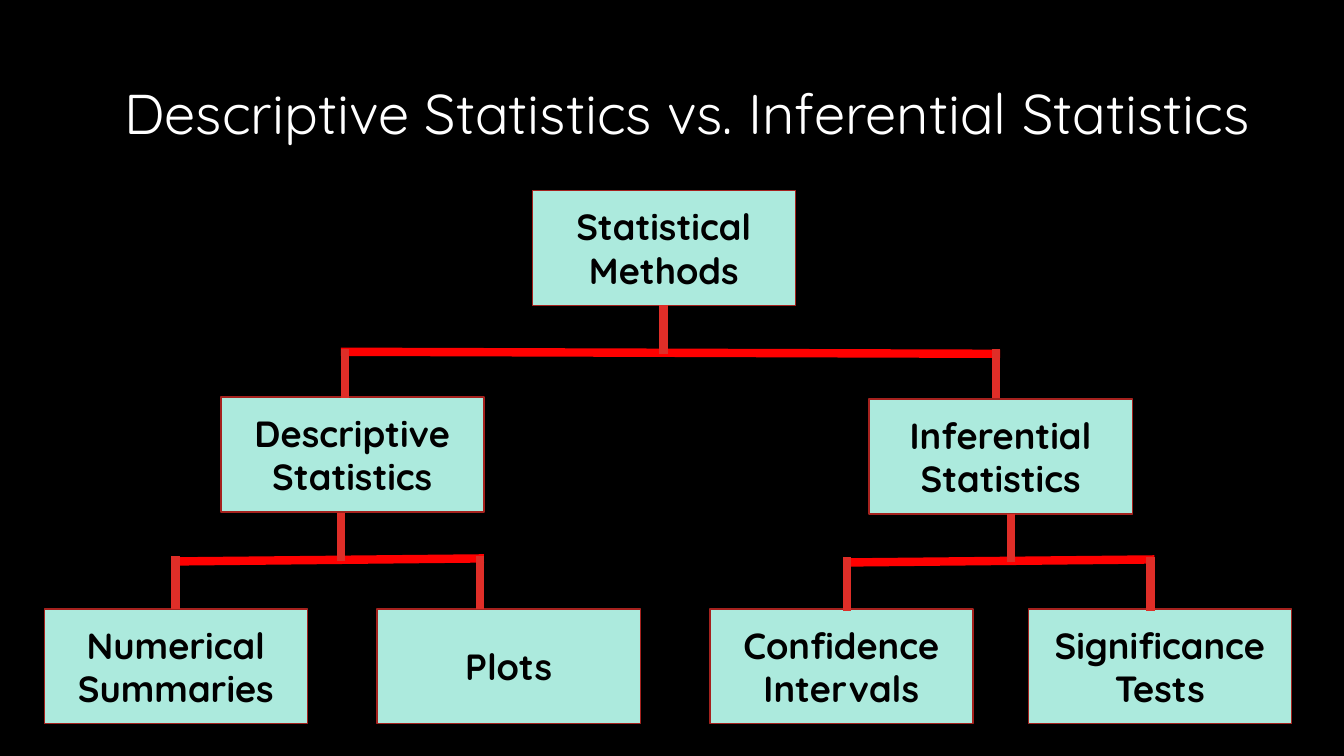
from lxml import etree
from pptx import Presentation
from pptx import util as u
from pptx.dml import color
from pptx.enum import shapes, text
from pptx.oxml import ns

COLORS = {"night": "000000", "white": "FFFFFF", "mint": "ACEADD",
          "border": "A5221E", "bar": "FF0000", "stem": "DF2E28"}
FONT = "Quicksand"
COLUMNS, ROWS = 13.33, 7.5
WIDTH, HEIGHT = u.Inches(13.33), u.Inches(7.5)
NODE_WIDTH, NODE_HEIGHT = 2.61, 1.14
STEM_DROP, CHILD_RISE, END_INSET = 0.48, 0.43, 0.04


def across(columns):
    return round(WIDTH * columns / COLUMNS)


def down(rows):
    return round(HEIGHT * rows / ROWS)


def place(box):
    left, top, width, height = box
    return across(left), down(top), across(width), down(height)


def rgb(name):
    return color.RGBColor.from_string(COLORS[name])


def write(holder, wording, size, tint, align, bold=False):
    frame = holder.text_frame
    frame.text = wording
    frame.word_wrap = True
    frame.vertical_anchor = text.MSO_ANCHOR.MIDDLE
    paragraph = frame.paragraphs[0]
    paragraph.alignment = align
    font = paragraph.runs[0].font
    font.name, font.size, font.bold = FONT, u.Pt(size), bold
    font.color.rgb = rgb(tint)
    return paragraph


def heading(slide, box, wording):
    title = slide.shapes.add_textbox(*place(box))
    paragraph = write(title, wording, 40, "white", text.PP_ALIGN.RIGHT)
    paragraph.line_spacing = 0.9


def node(slide, box, wording):
    method = slide.shapes.add_shape(shapes.MSO_SHAPE.RECTANGLE, *place(box))
    method.shadow.inherit = False
    method.fill.solid()
    method.fill.fore_color.rgb = rgb("mint")
    method.line.color.rgb = rgb("border")
    method.line.width = u.Pt(1)
    write(method, wording, 26, "night", text.PP_ALIGN.CENTER, bold=True)


def link(slide, start, end, tint):
    rod = slide.shapes.add_connector(
        shapes.MSO_CONNECTOR.STRAIGHT,
        across(start[0]), down(start[1]), across(end[0]), down(end[1]))
    rod.line.color.rgb = rgb(tint)
    rod.line.width = u.Pt(6)
    etree.SubElement(rod._element.spPr, ns.qn("a:effectLst"))


def branch(slide, box, stem_x, bar_ends, left_inset):
    left, top, width, height = box
    right, bottom = left + width, top + height
    bar_start, bar_end = bar_ends
    link(slide, (left, top + bar_start), (right, top + bar_end), "bar")
    for child_x in (left + left_inset, right - END_INSET):
        link(slide, (child_x, top + CHILD_RISE), (child_x, bottom), "stem")
    link(slide, (stem_x, top), (stem_x, top + STEM_DROP), "stem")


def methods_tree(slide):
    nodes = [
        (5.28, 1.89, "Statistical Methods"),
        (2.19, 3.94, "Descriptive Statistics"),
        (8.62, 3.96, "Inferential Statistics"),
        (0.44, 6.04, "Numerical Summaries"),
        (3.74, 6.04, "Plots"),
        (7.04, 6.04, "Confidence Intervals"),
        (10.2, 6.04, "Significance Tests"),
    ]
    for left, top, wording in nodes:
        node(slide, (left, top, NODE_WIDTH, NODE_HEIGHT), wording)

    branches = [
        ((1.74, 5.09, 3.06, 0.95), 3.38, (0.48, 0.45), 0),
        ((8.4, 5.1, 3.05, 0.96), 10.03, (0.48, 0.45), 0),
        ((3.38, 3.03, 6.54, 0.92), 6.58, (0.46, 0.48), END_INSET),
    ]
    for box, stem_x, bar_ends, left_inset in branches:
        branch(slide, box, stem_x, bar_ends, left_inset)


deck = Presentation()
deck.slide_width, deck.slide_height = WIDTH, HEIGHT
comparison = deck.slides.add_slide(deck.slide_layouts[6])
comparison.background.fill.solid()
comparison.background.fill.fore_color.rgb = rgb("night")
heading(comparison, (0.66, 0.45, 11.83, 1.41),
        "Descriptive Statistics vs.\u00a0Inferential Statistics")
methods_tree(comparison)
deck.save("out.pptx")
